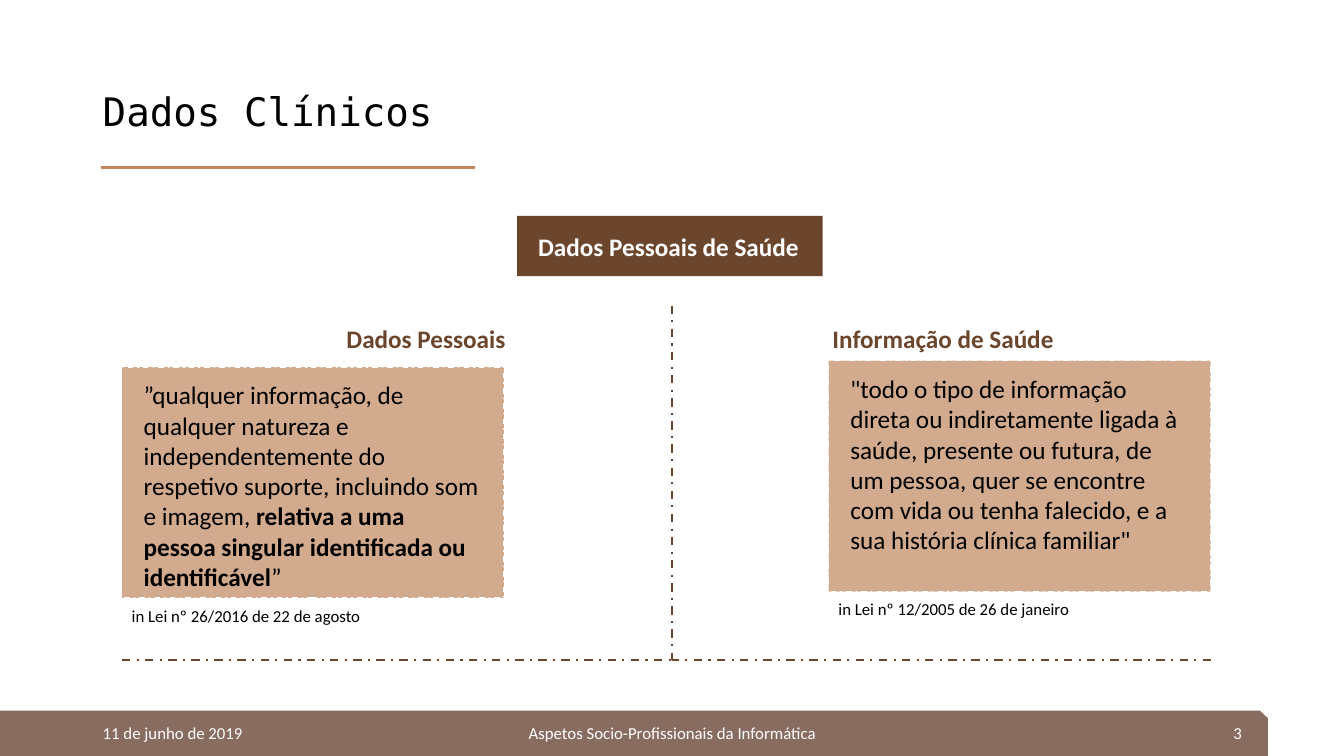
from lxml import etree
from pptx import Presentation
from pptx import util as u
from pptx.dml.color import RGBColor
from pptx.enum import dml, shapes, text
from pptx.oxml.ns import qn

BROWN, TAN, BAR, WHITE, BLACK = "6C462C", "C0875E", "886C5F", "FFFFFF", "000000"
LEFT, CENTER, RIGHT = text.PP_ALIGN.LEFT, text.PP_ALIGN.CENTER, text.PP_ALIGN.RIGHT
TOP, MIDDLE = text.MSO_ANCHOR.TOP, text.MSO_ANCHOR.MIDDLE

TITLE = "Dados Clínicos"
TOPIC = "Dados Pessoais de Saúde"
FOOTER = [
    ("11 de junho de 2019", 2.34, 7.62, LEFT),
    ("Aspetos Socio-Profissionais da Informática", 11.23, 11.43, CENTER),
    ("3", 23.93, 7.62, RIGHT),
]
PANELS = [
    {
        "heading": ("Dados Pessoais", 8.48, 4.55),
        "at": (3.07, 9.25),
        "quote": [
            ("”qualquer informação, de qualquer natureza e independentemente do "
             "respetivo suporte, incluindo som e imagem, ", False),
            ("relativa a uma pessoa singular identificada ou identificável", True),
            ("”", False),
        ],
        "law": "in Lei nº 26/2016 de 22 de agosto",
    },
    {
        "heading": ("Informação de Saúde", 20.73, 6.12),
        "at": (20.88, 9.09),
        "quote": [
            ('"todo o tipo de informação direta ou indiretamente ligada à saúde, '
             "presente ou futura, de um pessoa, quer se encontre com vida ou tenha "
             'falecido, e a sua história clínica familiar"', False),
        ],
        "law": "in Lei nº 12/2005 de 26 de janeiro",
    },
]
PANEL_W, PANEL_H = 9.63, 5.82
AXIS_X, AXIS_TOP, BASE_Y = 16.93, 7.7, 16.64
BASE_LEFT, BASE_RIGHT = 3.07, 30.52
DASH_DOT = dml.MSO_LINE.DASH_DOT

prs = Presentation()
prs.slide_width, prs.slide_height = u.Cm(33.87), u.Cm(19.05)
s = prs.slides.add_slide(prs.slide_layouts[6])


def rgb(value):
    return RGBColor.from_string(value)


def write(sp, runs, size, color, bold=None, font="Calibri", align=LEFT,
          anchor=TOP, wrap=True, inset=(0.25, 0.13)):
    tf = sp.text_frame
    tf.word_wrap = wrap
    tf.vertical_anchor = anchor
    tf.margin_left = tf.margin_right = u.Cm(inset[0])
    tf.margin_top = tf.margin_bottom = u.Cm(inset[1])
    p = tf.paragraphs[0]
    p.alignment = align
    p.font.size, p.font.name, p.font.bold = u.Pt(size), font, bold
    p.font.color.rgb = rgb(color)
    for content, strong in runs:
        r = p.add_run()
        r.text = content
        if strong:
            r.font.bold = True
    return p


def label(content, x, y, w, h, size, color, **style):
    sp = s.shapes.add_textbox(u.Cm(x), u.Cm(y), u.Cm(w), u.Cm(h))
    return write(sp, [(content, False)], size, color, **style)


def block(kind, x, y, w, h, fill):
    sp = s.shapes.add_shape(kind, u.Cm(x), u.Cm(y), u.Cm(w), u.Cm(h))
    sp.shadow.inherit = False
    sp.fill.solid()
    sp.fill.fore_color.rgb = rgb(fill)
    sp.line.fill.background()
    return sp


def rule(x1, y1, x2, y2, color, width, dash=None):
    c = s.shapes.add_connector(shapes.MSO_CONNECTOR.STRAIGHT,
                               u.Cm(x1), u.Cm(y1), u.Cm(x2), u.Cm(y2))
    c.line.color.rgb = rgb(color)
    c.line.width = u.Pt(width)
    if dash:
        c.line.dash_style = dash
    etree.SubElement(c._element.spPr, qn("a:effectLst"))


RECT = shapes.MSO_SHAPE.RECTANGLE

block(shapes.MSO_SHAPE.SNIP_1_RECTANGLE, 0, 17.91, 31.95, 1.14, BAR)
title = label(TITLE, 2.34, 1.02, 29.21, 3.68, 28, BLACK,
              font="DejaVu Sans Mono", anchor=MIDDLE)
title.line_spacing = 0.9
rule(2.54, 4.22, 11.96, 4.22, TAN, 2.25)
for content, x, w, align in FOOTER:
    label(content, x, 17.96, w, 1.02, 12, WHITE, align=align, anchor=MIDDLE)

topic = block(RECT, 13.03, 5.44, 7.7, 1.52, BROWN)
write(topic, [(TOPIC, False)], 18, WHITE, bold=True, anchor=MIDDLE, inset=(0.53, 0.13))

for panel in PANELS:
    x, y = panel["at"]
    sp = block(RECT, x, y, PANEL_W, PANEL_H, TAN)
    color = sp.fill._xPr.find(qn("a:solidFill"))[0]
    etree.SubElement(color, qn("a:alpha"), val="70000")
    sp.line.color.rgb = rgb(WHITE)
    sp.line.width = u.Pt(1)
    sp.line.dash_style = DASH_DOT
    write(sp, panel["quote"], 18, BLACK, inset=(0.55, 0.32))
    heading, hx, hw = panel["heading"]
    label(heading, hx, 8.03, hw, 1.02, 18, BROWN, bold=True, wrap=False)
    label(panel["law"], x, y + PANEL_H + 0.06, 6.55, 0.77, 12, BLACK)

rule(AXIS_X, AXIS_TOP, AXIS_X, BASE_Y, BROWN, 1.5, DASH_DOT)
for end in (BASE_LEFT, BASE_RIGHT):
    rule(end, BASE_Y, AXIS_X, BASE_Y, BROWN, 1.5, DASH_DOT)

prs.save("out.pptx")
